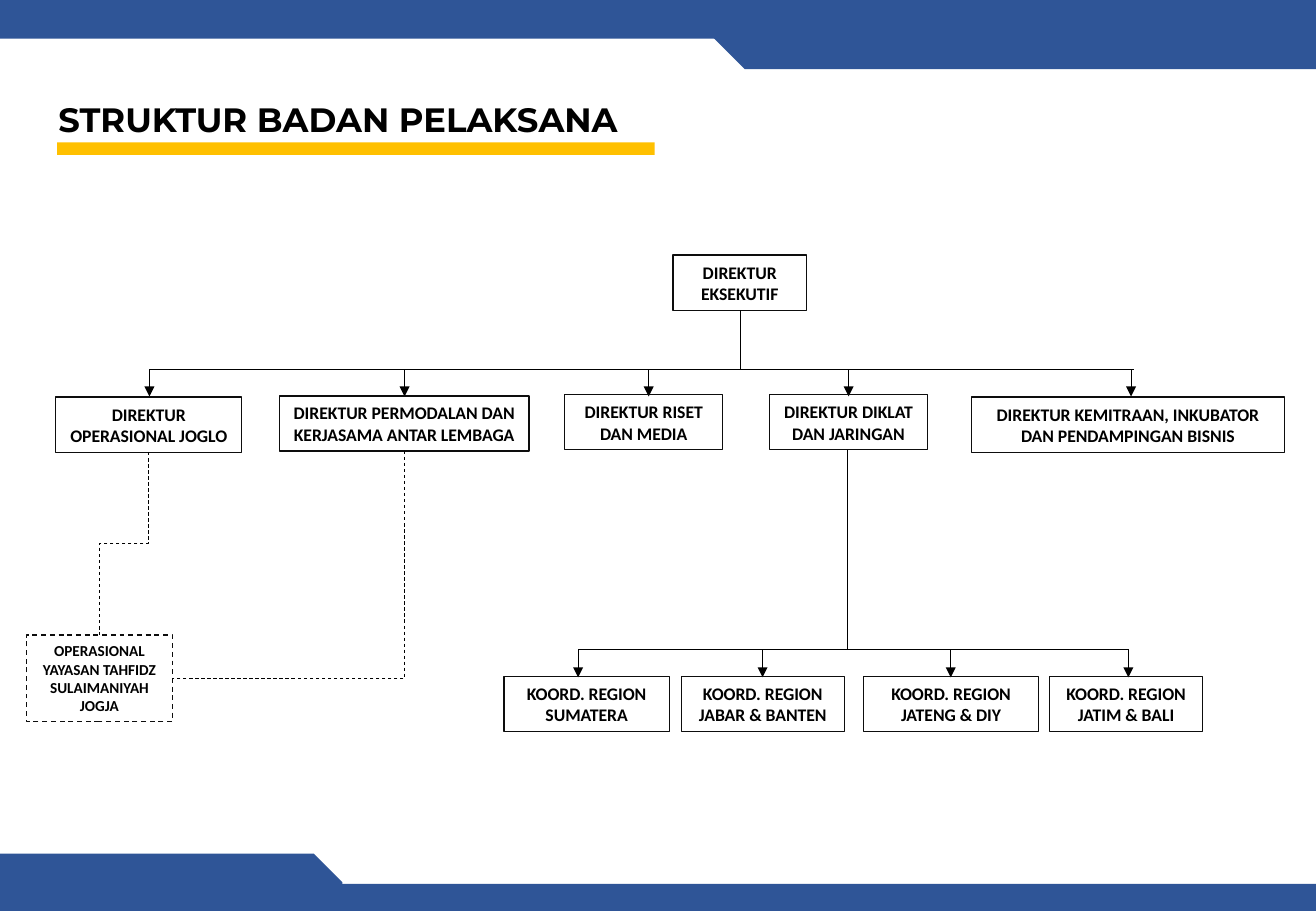
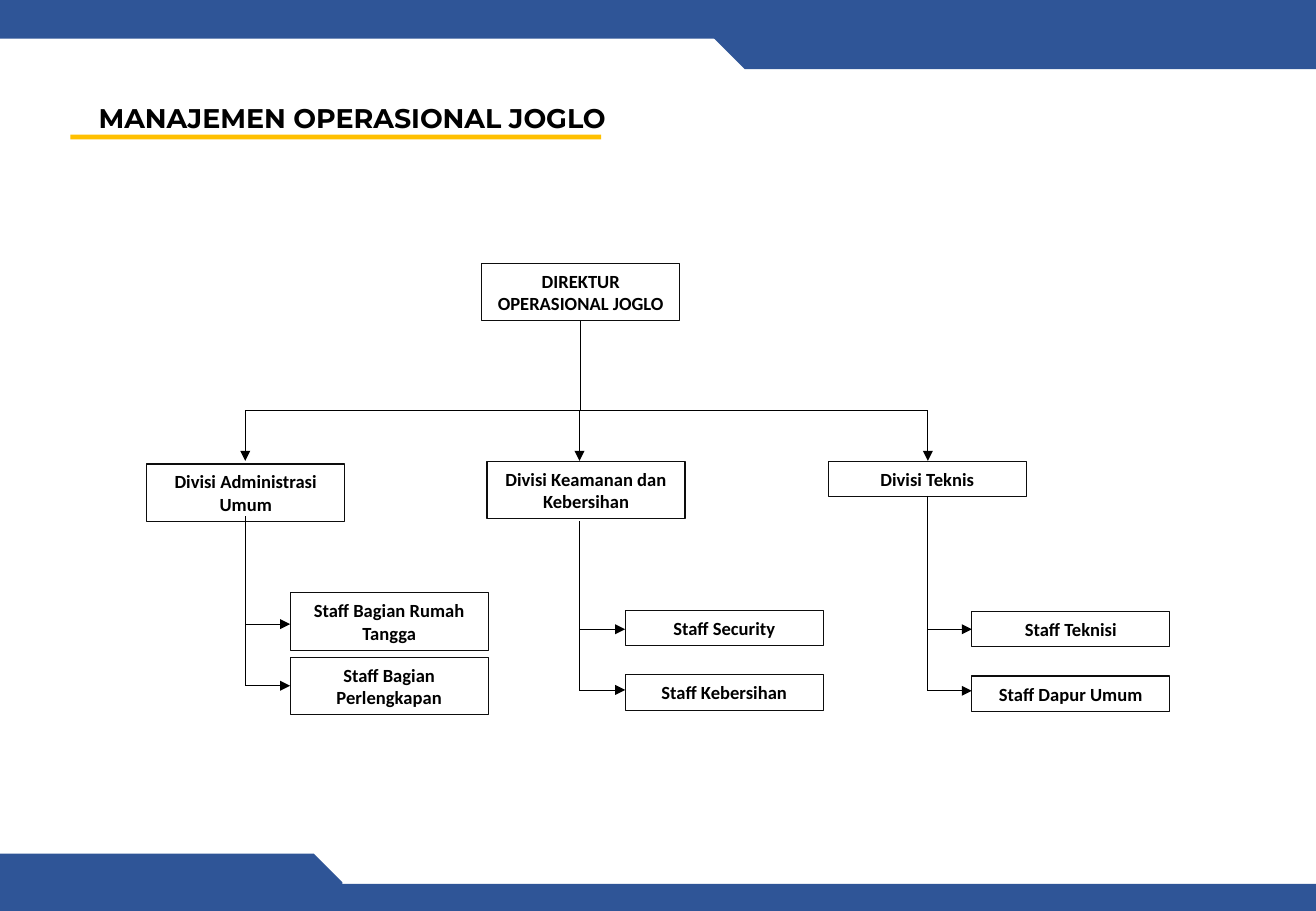
from pptx import Presentation
from pptx.dml.color import RGBColor
from pptx.enum.dml import MSO_LINE
from pptx.enum.shapes import MSO_CONNECTOR, MSO_SHAPE
from pptx.enum.text import MSO_ANCHOR, MSO_AUTO_SIZE, PP_ALIGN
from pptx.oxml.ns import qn
from pptx.util import Pt

COLORS = {"band": "2F5597", "accent": "FFC000", "border": "0D0D0D", "ink": "000000"}
TITLE_FONT = "Montserrat"
BODY_FONT = "Calibri"
WIDTH, HEIGHT = 780, 540

BANDS = [
    (MSO_SHAPE.SNIP_1_RECTANGLE, (0, 506, 203, 34), 0),
    (MSO_SHAPE.RECTANGLE, (63, 524, WIDTH - 63, HEIGHT - 524), 0),
    (MSO_SHAPE.SNIP_1_RECTANGLE, (421, 0, WIDTH - 421, 41), 180),
    (MSO_SHAPE.RECTANGLE, (0, 0, 663, 23), 0),
]

DIRECTORS = [
    ("DIREKTUR OPERASIONAL JOGLO", 33.1, 235.4, 110.2, 88.6),
    ("DIREKTUR PERMODALAN DAN KERJASAMA ANTAR LEMBAGA", 165.6, 234.7, 148, 239.8),
    ("DIREKTUR RISET DAN MEDIA", 334.8, 234, 93.6, 384.5),
    ("DIREKTUR DIKLAT DAN JARINGAN", 456.2, 234, 93.4, 503),
    ("DIREKTUR KEMITRAAN, INKUBATOR DAN PENDAMPINGAN BISNIS", 576, 235.4, 185.2, 670.4),
]

REGIONS = [
    ("KOORD. REGION SUMATERA", 298.8, 97.9, 342.7),
    ("KOORD. REGION JABAR & BANTEN", 403.9, 96.5, 452),
    ("KOORD. REGION JATENG & DIY", 511.9, 103.7, 563.5),
    ("KOORD. REGION JATIM & BALI", 622, 91, 668.8),
]

DIVISIONS = [
    {"name": "Divisi Administrasi Umum", "left": 87, "top": 275, "height": 34,
     "trunk": 145.4, "trunk_top": 306, "staff_left": 172, "staff_height": 34,
     "staff": [("Staff Bagian Rumah Tangga", 351.4, 370),
               ("Staff Bagian Perlengkapan", 389.7, 406.5)]},
    {"name": "Divisi Keamanan dan Kebersihan", "left": 288.7, "top": 273.5, "height": 34,
     "trunk": 343.5, "trunk_top": 309, "staff_left": 370.6, "staff_height": 21,
     "staff": [("Staff Security", 361.7, 373), ("Staff Kebersihan", 400, 409)]},
    {"name": "Divisi Teknis", "left": 491, "top": 273.5, "height": 21,
     "trunk": 550, "trunk_top": 294, "staff_left": 576, "staff_height": 21,
     "staff": [("Staff Teknisi", 362.4, 373), ("Staff Dapur Umum", 400.7, 409.5)]},
]


def color(name):
    return RGBColor.from_string(COLORS[name])


def write(box, text, font, size, align):
    para = box.text_frame.paragraphs[0]
    para.alignment = align
    span = para.add_run()
    span.text = text
    span.font.name = font
    span.font.size = Pt(size)
    span.font.bold = True
    span.font.color.rgb = color("ink")
    return para


def add_block(page, area, fill, preset=MSO_SHAPE.RECTANGLE):
    block = page.shapes.add_shape(preset, *map(Pt, area))
    block.shadow.inherit = False
    block.fill.solid()
    block.fill.fore_color.rgb = color(fill)
    block.line.fill.background()
    return block


def add_card(page, text, area, size, dashed=False):
    card = page.shapes.add_shape(MSO_SHAPE.RECTANGLE, *map(Pt, area))
    card.shadow.inherit = False
    card.fill.background()
    card.line.color.rgb = color("border")
    card.line.width = Pt(0.75)
    if dashed:
        card.line.dash_style = MSO_LINE.DASH
    card.text_frame.word_wrap = True
    card.text_frame.vertical_anchor = MSO_ANCHOR.MIDDLE
    write(card, text, BODY_FONT, size, PP_ALIGN.CENTER)


def add_line(page, start, end, arrow=False, dashed=False, kind=MSO_CONNECTOR.STRAIGHT):
    line = page.shapes.add_connector(kind, *map(Pt, start + end))
    line.line.color.rgb = color("ink")
    line.line.width = Pt(0.5)
    if dashed:
        line.line.dash_style = MSO_LINE.DASH
    properties = line.element.spPr
    if arrow:
        outline = properties.find(qn("a:ln"))
        outline.append(outline.makeelement(qn("a:tailEnd"), {"type": "triangle"}))
    properties.append(properties.makeelement(qn("a:effectLst"), {}))
    return line


def add_elbow(page, start, end, preset):
    middle_x, middle_y = (start[0] + end[0]) / 2, (start[1] + end[1]) / 2
    half_drop, half_shift = (end[1] - start[1]) / 2, (start[0] - end[0]) / 2
    elbow = add_line(page, (middle_x - half_drop, middle_y - half_shift),
                     (middle_x + half_drop, middle_y + half_shift),
                     dashed=True, kind=MSO_CONNECTOR.ELBOW)
    elbow.rotation = 90
    elbow.element.spPr.find(qn("a:prstGeom")).set("prst", preset)


def add_branches(page, left, right, top, bottom, stops):
    add_line(page, (left, top), (right, top))
    for stop in stops:
        add_line(page, (stop, top), (stop, bottom), arrow=True)


def add_page(deck, title, area, size, align, rule):
    page = deck.slides.add_slide(deck.slide_layouts[5])
    for preset, band_area, turn in BANDS:
        band = add_block(page, band_area, "band", preset)
        band.rotation = turn
        if preset == MSO_SHAPE.SNIP_1_RECTANGLE:
            band.adjustments[0] = 0.5
    box = page.shapes.title
    box.left, box.top, box.width, box.height = map(Pt, area)
    box.text_frame.word_wrap = False
    box.text_frame.auto_size = MSO_AUTO_SIZE.NONE
    box.text_frame.vertical_anchor = MSO_ANCHOR.TOP
    write(box, title, TITLE_FONT, size, align).line_spacing = 1.07
    add_block(page, rule, "accent")
    return page


def add_board_chart(deck):
    page = add_page(deck, "STRUKTUR BADAN PELAKSANA", (27.4, 53.3, 369.4, 33),
                    20, PP_ALIGN.LEFT, (33.8, 84.4, 354.3, 7.4))
    height = 32.7
    add_card(page, "DIREKTUR EKSEKUTIF", (398.9, 151.2, 79.2, height), 10.5)
    add_line(page, (438.6, 183.9), (438.6, 218.5))
    add_branches(page, 88.6, 672, 219, 235, [director[-1] for director in DIRECTORS])
    for name, left, top, width, stop in DIRECTORS:
        add_card(page, name, (left, top, width, height), 10.5)
    add_line(page, (502, 267), (502, 385.5))
    stops = [region[-1] for region in REGIONS]
    add_branches(page, stops[0], stops[-1], 385, 401.5, stops)
    for name, left, width, stop in REGIONS:
        add_card(page, name, (left, 401, width, height), 10.5)
    add_card(page, "OPERASIONAL YAYASAN TAHFIDZ SULAIMANIYAH JOGJA",
             (15.6, 376.4, 86.6, 51.1), 9, dashed=True)
    add_elbow(page, (88, 268), (59, 376.4), "bentConnector3")
    add_elbow(page, (239.8, 267.2), (102.2, 402.2), "bentConnector2")


def add_joglo_chart(deck):
    page = add_page(deck, "MANAJEMEN OPERASIONAL JOGLO", (32.4, 55.4, 334, 27.4),
                    16, PP_ALIGN.RIGHT, (41.8, 79.8, 314.6, 2.9))
    width = 117.4
    add_card(page, "DIREKTUR OPERASIONAL JOGLO", (285.6, 156.2, width, 34), 11)
    add_line(page, (344, 190.2), (344, 243.4))
    stops = [division["trunk"] for division in DIVISIONS]
    add_branches(page, stops[0], stops[-1], 243.4, 273.2, stops)
    for division in DIVISIONS:
        add_card(page, division["name"],
                 (division["left"], division["top"], width, division["height"]), 11)
        trunk, staff_left = division["trunk"], division["staff_left"]
        add_line(page, (trunk, division["trunk_top"]), (trunk, division["staff"][-1][2]))
        for name, top, arrow_y in division["staff"]:
            add_card(page, name, (staff_left, top, width, division["staff_height"]), 11)
            add_line(page, (trunk, arrow_y), (staff_left, arrow_y), arrow=True)


def main():
    deck = Presentation()
    deck.slide_width, deck.slide_height = Pt(WIDTH), Pt(HEIGHT)
    add_board_chart(deck)
    add_joglo_chart(deck)
    deck.save("out.pptx")


if __name__ == "__main__":
    main()
